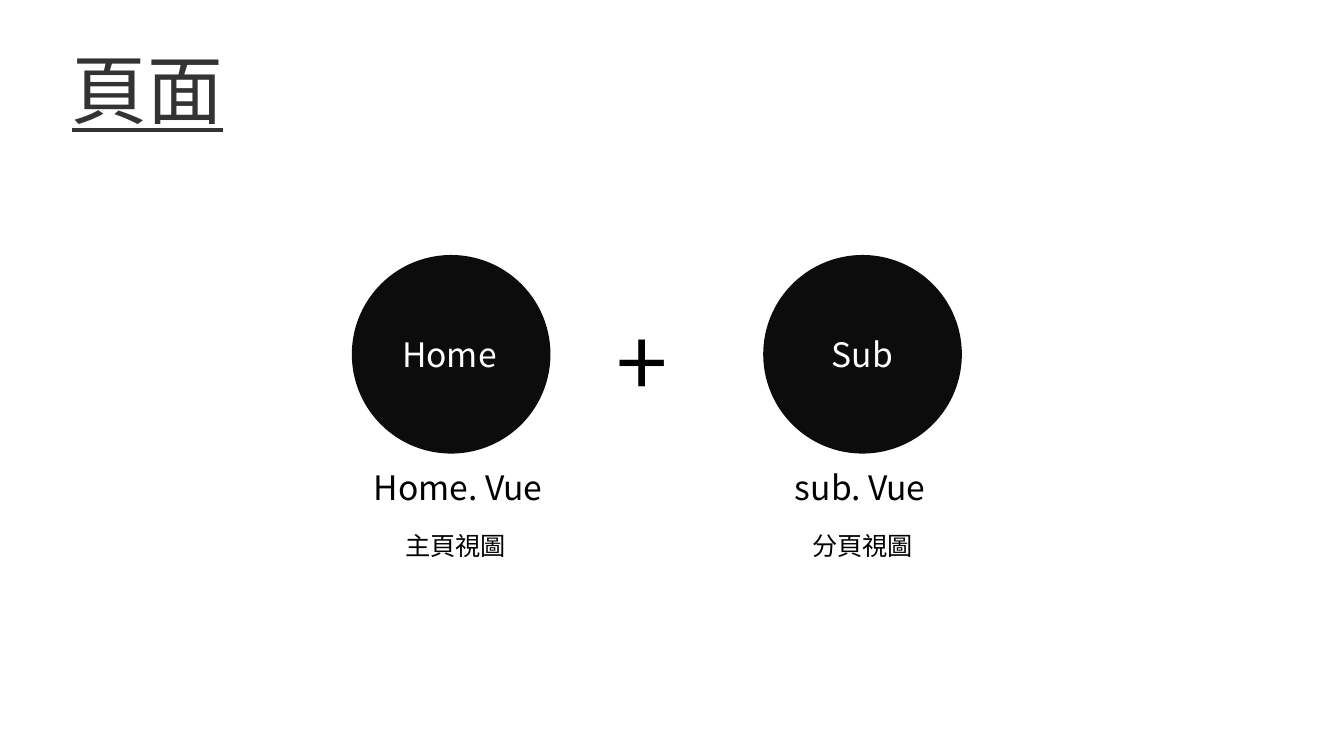
from dataclasses import dataclass
from lxml.etree import SubElement
from pptx import Presentation
from pptx.dml.color import RGBColor
from pptx.enum.shapes import MSO_SHAPE
from pptx.enum.text import MSO_ANCHOR, MSO_AUTO_SIZE, PP_ALIGN
from pptx.oxml.ns import qn
from pptx.util import Inches, Pt


@dataclass(frozen=True)
class Theme:
    font: str = "Noto Sans CJK SC"
    title: RGBColor = RGBColor(0x33, 0x33, 0x33)
    circle: RGBColor = RGBColor(0x0C, 0x0C, 0x0C)
    light: RGBColor = RGBColor(0xFF, 0xFF, 0xFF)
    dark: RGBColor = RGBColor(0, 0, 0)
    title_size: int = 54
    plus_size: int = 66
    label_size: int = 24
    caption_size: int = 18


theme = Theme()
presentation = Presentation()
presentation.slide_width = Inches(13.33)
presentation.slide_height = Inches(7.5)
slide = presentation.slides.add_slide(presentation.slide_layouts[5])


def box(center, top, width, height):
    column = presentation.slide_width / 100
    row = presentation.slide_height / 100
    return (int((center - width / 2) * column), int(top * row),
            int(width * column), int(height * row))


def write(shape, text, size, color, align=PP_ALIGN.LEFT, wrap=True):
    frame = shape.text_frame
    frame.word_wrap = wrap
    frame.auto_size = MSO_AUTO_SIZE.NONE
    frame.vertical_anchor = MSO_ANCHOR.MIDDLE
    paragraph = frame.paragraphs[0]
    paragraph.alignment = align
    run = paragraph.add_run()
    run.text = text
    run.font.size = Pt(size)
    run.font.color.rgb = color
    run.font.name = theme.font
    SubElement(run.font._element, qn("a:ea"), typeface=theme.font)
    return paragraph


title = slide.shapes.title
title.left, title.top, title.width, title.height = box(17.25, 4.93, 25.35, 13.47)
heading = write(title, "頁面", theme.title_size, theme.title)
heading.runs[0].font.underline = True

pages = [
    (33.57, "Home", 8.78, "Home. Vue", 14.55, 0.79, "主頁視圖", 0.34),
    (64.18, "Sub", 6.08, "sub. Vue", 11.55, 0, "分頁視圖", 0),
]
label_height = 6.67

for center, name, name_width, file, file_width, file_shift, caption, caption_shift in pages:
    circle = slide.shapes.add_shape(MSO_SHAPE.OVAL, *box(center, 33.73, 14.78, 26.27))
    circle.shadow.inherit = False
    circle.fill.solid()
    circle.fill.fore_color.rgb = theme.circle
    circle.line.fill.background()

    labels = [
        (name, center, 43.5, name_width, theme.light),
        (file, center + file_shift, 61.07, file_width, theme.dark),
    ]
    for text, label_center, top, width, color in labels:
        label = slide.shapes.add_textbox(*box(label_center, top, width, label_height))
        write(label, text, theme.label_size, color, wrap=False)

    caption_box = slide.shapes.add_textbox(
        *box(center + caption_shift, 67.87, 21.15, label_height))
    paragraph = write(caption_box, caption, theme.caption_size, theme.dark, PP_ALIGN.CENTER)
    paragraph.line_spacing = 1.5

plus = slide.shapes.add_textbox(*box(48.46, 39.6, 6.6, 16.13))
write(plus, "+", theme.plus_size, theme.dark)

presentation.save("out.pptx")
